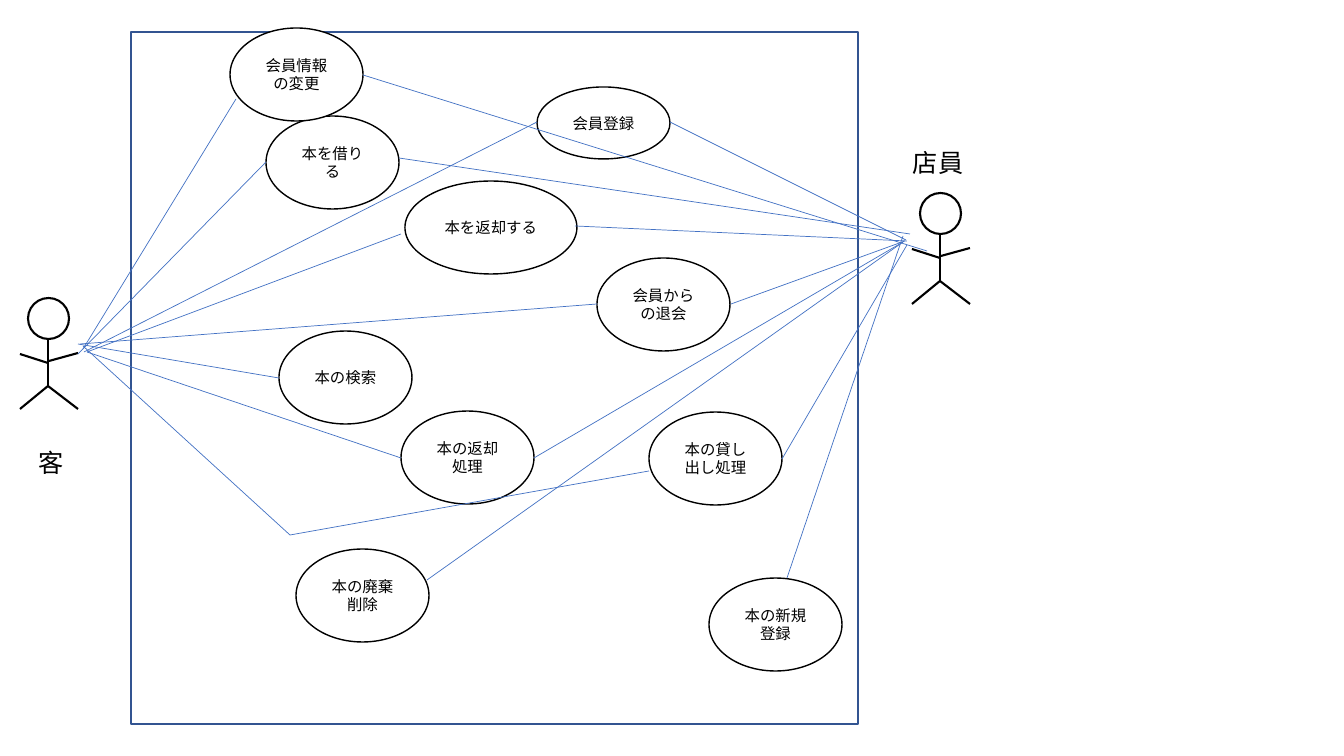
"""Draw the use case diagram of a library with a customer and a clerk."""
from typing import NamedTuple

from pptx import Presentation, util as u
from pptx.dml.color import RGBColor
from pptx.enum import shapes, text
from pptx.oxml.ns import qn
from lxml import etree

SCALE = 914400 / 100.8
FONT = "Noto Sans CJK JP"
COLORS = {"ink": "000000", "paper": "FFFFFF", "frame": "325491", "link": "4472C4"}
HEAD = 41
LIMBS = [
    (20, 41, 20, 88),
    (20, 88, -8, 111),
    (20, 88, 50, 111),
    (20, 65, -8, 56),
    (21, 63, 50, 55),
]


class Actor(NamedTuple):
    """A stick figure by the corner of its head, with its label box."""
    name: str
    x: int
    y: int
    label: tuple[int, int, int, int]


class UseCase(NamedTuple):
    """An oval with its text."""
    name: str
    x: int
    y: int
    w: int = 133
    h: int = 93


class Link(NamedTuple):
    """A line between two points."""
    x1: int
    y1: int
    x2: int
    y2: int


ACTORS = [
    Actor("客", 28, 298, (29, 442, 45, 40)),
    Actor("店員", 920, 193, (903, 142, 72, 40)),
]
USE_CASES = [
    UseCase("本を借りる", 266, 116),
    UseCase("会員登録", 537, 87, h=72),
    UseCase("会員からの退会", 597, 258),
    UseCase("本を返却する", 405, 181, w=172),
    UseCase("本の検索", 279, 331),
    UseCase("本の返却処理", 401, 411),
    UseCase("本の貸し出し処理", 649, 412),
    UseCase("本の新規登録", 709, 578),
    UseCase("本の廃棄削除", 296, 549),
    UseCase("会員情報の変更", 230, 28),
]
CUSTOMER_LINKS = [
    Link(78, 354, 266, 162),
    Link(84, 352, 537, 122),
    Link(87, 352, 401, 234),
    Link(80, 344, 597, 304),
    Link(78, 344, 279, 378),
    Link(87, 352, 401, 458),
    Link(83, 346, 290, 535),
    Link(290, 535, 649, 471),
    Link(83, 349, 236, 99),
]
CLERK_LINKS = [
    Link(399, 158, 910, 234),
    Link(670, 122, 906, 240),
    Link(575, 226, 907, 241),
    Link(731, 304, 905, 241),
    Link(782, 459, 907, 245),
    Link(534, 458, 903, 242),
    Link(787, 578, 903, 236),
    Link(427, 580, 903, 242),
    Link(363, 75, 927, 251),
]


def emu(*pixels: int) -> list[u.Emu]:
    """Turn pixels into EMU."""
    return [u.Emu(round(px * SCALE)) for px in pixels]


def set_line(sp, color: str, width: float) -> None:
    """Set the colour and width of a line."""
    sp.line.color.rgb = RGBColor.from_string(COLORS[color])
    sp.line.width = u.Pt(width)


def add_shape(parent, kind, box: tuple, color: str, width: float, filled: bool = True):
    """Add an outlined shape without a shadow."""
    sp = parent.add_shape(kind, *emu(*box))
    sp.shadow.inherit = False
    if filled:
        sp.fill.solid()
        sp.fill.fore_color.rgb = RGBColor.from_string(COLORS["paper"])
    else:
        sp.fill.background()
    set_line(sp, color, width)
    return sp


def add_line(parent, ends: tuple, color: str, width: float) -> None:
    """Add a straight line without a shadow."""
    sp = parent.add_connector(shapes.MSO_CONNECTOR.STRAIGHT, *emu(*ends))
    set_line(sp, color, width)
    etree.SubElement(sp._element.spPr, qn("a:effectLst"))


def write(tf, words: str, size: int) -> None:
    """Write one line of text in the Latin and East Asian font."""
    tf.text = words
    r = tf.paragraphs[0].runs[0]
    r.font.size = u.Pt(size)
    r.font.name = FONT
    r.font.color.rgb = RGBColor.from_string(COLORS["ink"])
    etree.SubElement(r.font._element, qn("a:ea")).set("typeface", FONT)


def add_actor(parent, actor: Actor) -> None:
    """Add a stick figure as one group."""
    figure = parent.add_group_shape().shapes
    x, y = actor.x, actor.y
    add_shape(figure, shapes.MSO_SHAPE.OVAL, (x, y, HEAD, HEAD), "ink", 1.5, False)
    for x1, y1, x2, y2 in LIMBS:
        add_line(figure, (x + x1, y + y1, x + x2, y + y2), "ink", 1.5)


def add_label(parent, actor: Actor) -> None:
    """Add the name of an actor."""
    tf = parent.add_textbox(*emu(*actor.label)).text_frame
    tf.word_wrap = False
    tf.auto_size = text.MSO_AUTO_SIZE.SHAPE_TO_FIT_TEXT
    write(tf, actor.name, 18)


def add_use_case(parent, case: UseCase) -> None:
    """Add an oval with centred text."""
    box = (case.x, case.y, case.w, case.h)
    sp = add_shape(parent, shapes.MSO_SHAPE.FLOWCHART_CONNECTOR, box, "ink", 1)
    tf = sp.text_frame
    tf.word_wrap = True
    tf.vertical_anchor = text.MSO_ANCHOR.MIDDLE
    write(tf, case.name, 11)
    tf.paragraphs[0].alignment = text.PP_ALIGN.CENTER


def main() -> None:
    """Build and save the slide."""
    prs = Presentation()
    prs.slide_width, prs.slide_height = emu(1344, 756)
    tree = prs.slides.add_slide(prs.slide_layouts[6]).shapes
    for actor in ACTORS:
        add_actor(tree, actor)
    add_shape(tree, shapes.MSO_SHAPE.RECTANGLE, (131, 32, 727, 692), "frame", 1)
    for case in USE_CASES:
        add_use_case(tree, case)
    for link in CUSTOMER_LINKS + CLERK_LINKS:
        add_line(tree, link, "link", 0.5)
    for actor in ACTORS:
        add_label(tree, actor)
    prs.save("out.pptx")


main()
